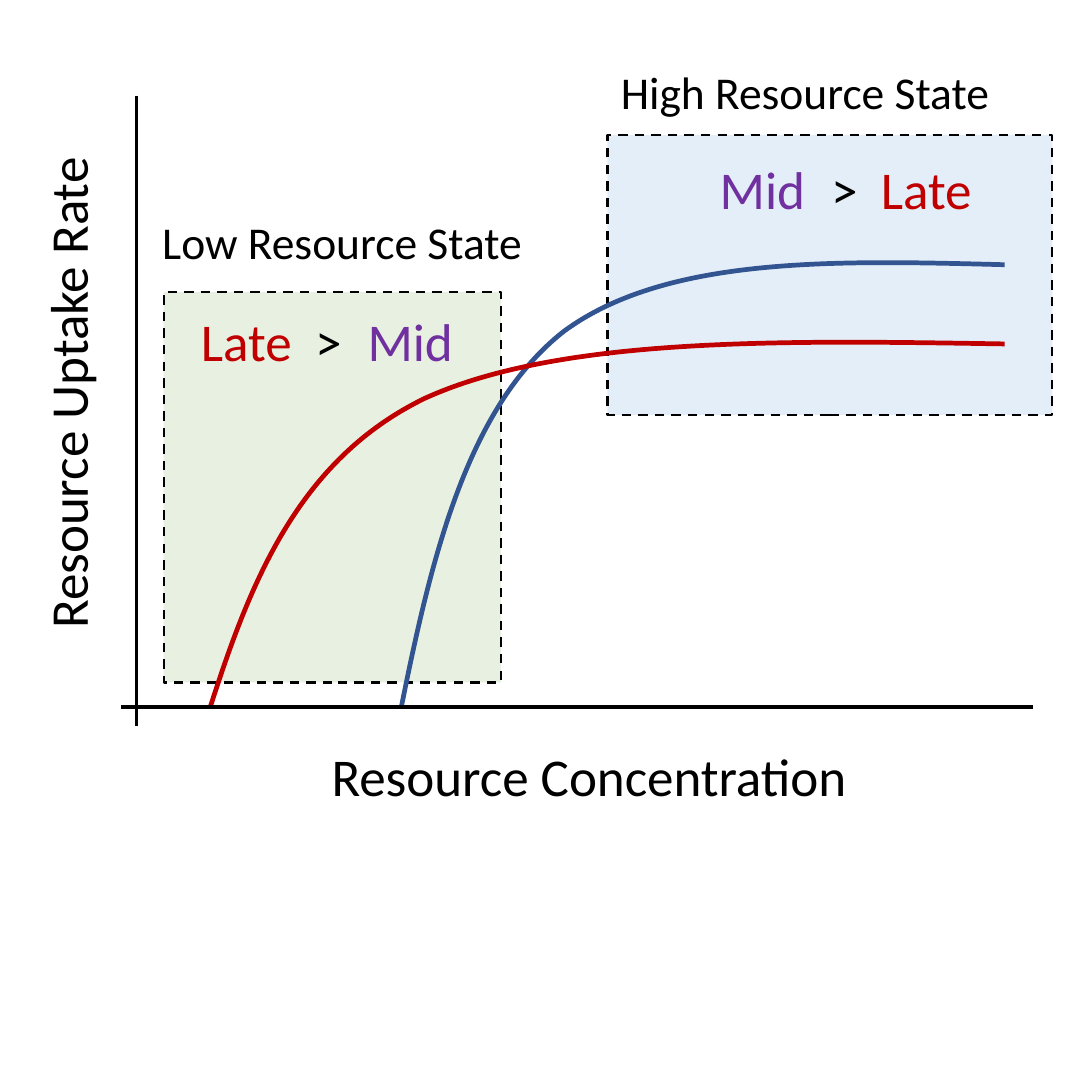
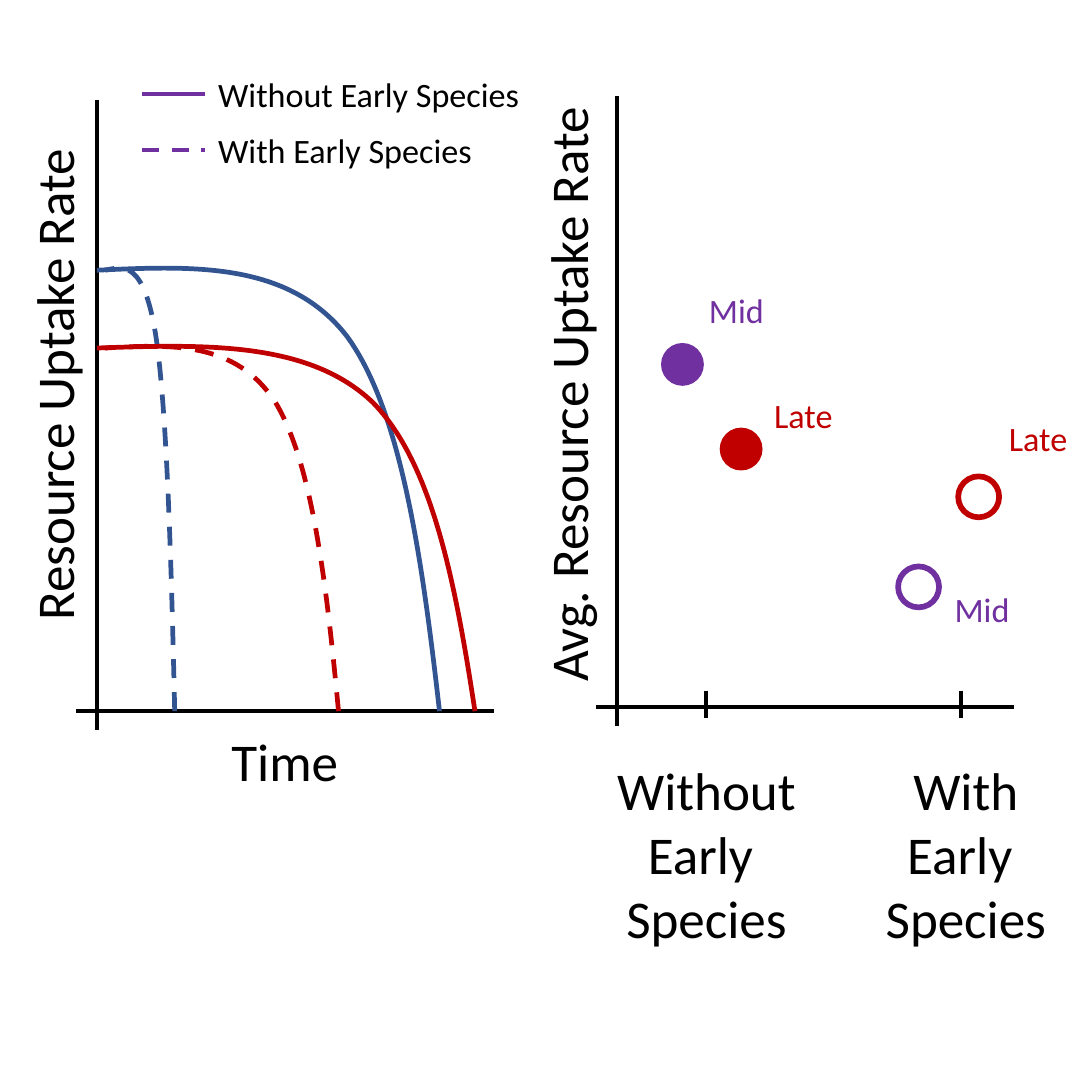
import lxml.etree
import pptx
import pptx.dml.color
import pptx.enum.dml
import pptx.enum.shapes
import pptx.enum.text
import pptx.oxml.ns
import pptx.util

RGBColor = pptx.dml.color.RGBColor
BLACK = RGBColor(0x00, 0x00, 0x00)
RED = RGBColor(0xC0, 0x00, 0x00)
PURPLE = RGBColor(0x70, 0x30, 0xA0)
BLUE = RGBColor(0x32, 0x54, 0x91)
GREEN_TINT = RGBColor(0x70, 0xAD, 0x47)
BLUE_TINT = RGBColor(0x5B, 0x9B, 0xD5)

FONT = "Calibri"
AXIS_SIZE, STATE_SIZE, LABEL_SIZE = 28, 24, 18
TEXT_HEIGHTS = {AXIS_SIZE: 5.7, STATE_SIZE: 5, LABEL_SIZE: 4}
LINE_SPACING = 4.7
SIDE = pptx.util.Inches(8)
GRID_CELLS = 80
MARKER = 3
STEM_ABOVE, STEM_BELOW = 44.8, 1.4
AXIS_TITLE_WIDTH = 50.3
CURVE_SHAPE = [(0, 0), (0.05, 0.34), (0.11, 0.68), (0.27, 0.85),
               (0.44, 1.02), (0.72, 1.01), (1, 1)]

LEFT = pptx.enum.text.PP_ALIGN.LEFT
CENTER = pptx.enum.text.PP_ALIGN.CENTER
RECTANGLE = pptx.enum.shapes.MSO_SHAPE.RECTANGLE
OVAL = pptx.enum.shapes.MSO_SHAPE.OVAL
qn = pptx.oxml.ns.qn


def cells(*counts):
    return [round(SIDE * count / GRID_CELLS) for count in counts]


def style_line(line, color, width, dashed=False):
    line.color.rgb = color
    line.width = pptx.util.Pt(width)
    if dashed:
        line.dash_style = pptx.enum.dml.MSO_LINE.DASH


def add_label(page, text, left, top, width, size=AXIS_SIZE, color=BLACK,
              align=CENTER, wrap=True, rotation=0):
    height = TEXT_HEIGHTS[size] + LINE_SPACING * text.count("\n")
    box = page.shapes.add_textbox(*cells(left, top, width, height))
    box.rotation = rotation
    frame = box.text_frame
    frame.text = text
    frame.word_wrap = wrap
    frame.auto_size = pptx.enum.text.MSO_AUTO_SIZE.SHAPE_TO_FIT_TEXT
    for para in frame.paragraphs:
        para.alignment = align
        for span in para.runs:
            span.font.name = FONT
            span.font.size = pptx.util.Pt(size)
            span.font.color.rgb = color


def add_axis_title(page, text, center_x, center_y):
    top = center_y - TEXT_HEIGHTS[AXIS_SIZE] / 2
    add_label(page, text, center_x - AXIS_TITLE_WIDTH / 2, top,
              AXIS_TITLE_WIDTH, rotation=270)


def add_line(page, start, end, color=BLACK, width=2, dashed=False):
    line = page.shapes.add_connector(
        pptx.enum.shapes.MSO_CONNECTOR.STRAIGHT, *cells(*start, *end))
    style_line(line.line, color, width, dashed)
    lxml.etree.SubElement(line.element.spPr, qn("a:effectLst"))


def add_axes(page, left, right, stem, base):
    add_line(page, (left, base), (right, base))
    add_line(page, (stem, base - STEM_ABOVE), (stem, base + STEM_BELOW))


def add_curve(page, foot, plateau, color, dashed=False):
    run, rise = plateau[0] - foot[0], plateau[1] - foot[1]
    points = [cells(foot[0] + run * x, foot[1] + rise * y) for x, y in CURVE_SHAPE]
    builder = page.shapes.build_freeform(*points[0])
    builder.add_line_segments(points[1:], close=False)
    curve = builder.convert_to_shape()
    outline = next(curve.element.iter(qn("a:path")))
    segments = outline.findall(qn("a:lnTo"))
    for first in range(0, len(segments), 3):
        bezier = lxml.etree.SubElement(outline, qn("a:cubicBezTo"))
        for segment in segments[first:first + 3]:
            bezier.append(segment[0])
            outline.remove(segment)
    curve.fill.background()
    curve.shadow.inherit = False
    style_line(curve.line, color, 2.5, dashed)


def add_state(page, left, top, width, height, tint):
    state = page.shapes.add_shape(RECTANGLE, *cells(left, top, width, height))
    state.shadow.inherit = False
    state.fill.solid()
    state.fill.fore_color.rgb = tint
    color = next(state.element.spPr.iter(qn("a:srgbClr")))
    lxml.etree.SubElement(color, qn("a:alpha"), val="16000")
    style_line(state.line, BLACK, 1.25, dashed=True)


def add_comparison(page, left, top, *words):
    width, step = 15.9, 6
    for index, (text, color) in enumerate(words):
        add_label(page, text, left + index * step, top, width, color=color)


def add_marker(page, left, top, color, filled):
    marker = page.shapes.add_shape(OVAL, *cells(left, top, MARKER, MARKER))
    marker.shadow.inherit = False
    if filled:
        marker.fill.solid()
        marker.fill.fore_color.rgb = color
    else:
        marker.fill.background()
    style_line(marker.line, color, 1 if filled else 3)


def draw_states(page):
    base = 51.8
    mid, late, greater = ("Mid", PURPLE), ("Late", RED), (">", BLACK)
    add_state(page, 12, 21.4, 24.7, 28.6, GREEN_TINT)
    add_state(page, 44.5, 9.9, 32.6, 20.5, BLUE_TINT)
    add_curve(page, (29.4, base), (73.6, 19.4), BLUE)
    add_curve(page, (15.4, base), (73.6, 25.2), RED)
    add_axes(page, 8.9, 75.7, 10, base)
    add_label(page, "Resource Concentration", 18, 54, AXIS_TITLE_WIDTH)
    add_comparison(page, 47.9, 11, mid, greater, late)
    add_comparison(page, 10.1, 22.1, late, greater, mid)
    add_label(page, "Low Resource State", 10.9, 15.2, 28.6, STATE_SIZE, align=LEFT)
    add_label(page, "High Resource State", 44.5, 4.2, 32.6, STATE_SIZE, align=LEFT)
    add_axis_title(page, "Resource Uptake Rate", 4.9, 28.8)


def draw_uptake_over_time(page):
    base, stem, dashed_start = 52.1, 7.1, 7.7
    add_label(page, "Time", 10.4, 52.9, 20.9)
    add_axis_title(page, "Resource Uptake Rate", 3.9, 28.2)
    add_axes(page, 5.6, 36.2, stem, base)
    for color, top, foot, dashed_foot in ((BLUE, 19.8, 32.2, 12.8),
                                          (RED, 25.5, 34.8, 24.8)):
        add_curve(page, (foot, base), (stem, top), color)
        add_curve(page, (dashed_foot, base), (dashed_start, top), color, dashed=True)
    legend = ("Without Early Species", "With Early Species")
    for index, text in enumerate(legend):
        middle = 6.9 + 4.1 * index
        add_line(page, (10.4, middle), (15, middle), PURPLE, 2.25, dashed=index == 1)
        add_label(page, text, 15, middle - 2, 24.9, LABEL_SIZE, align=LEFT)


def draw_average_uptake(page):
    base = 51.8
    add_axis_title(page, "Avg. Resource Uptake Rate", 41.55, 28.9)
    add_axes(page, 43.7, 74.3, 45.2, base)
    for tick, left, width, word in ((51.7, 41.3, 20.9, "Without"),
                                    (70.4, 62.2, 17.1, "With")):
        add_line(page, (tick, 50.6), (tick, 52.6))
        add_label(page, f"{word}\nEarly \nSpecies", left, 55, width)
    for text, color, filled, marker, label in (
            ("Mid", PURPLE, True, (48.5, 25.2), (50.8, 20.7)),
            ("Late", RED, True, (52.8, 31.4), (55.7, 28.4)),
            ("Mid", PURPLE, False, (65.8, 41.5), (68.8, 42.6)),
            ("Late", RED, False, (70.2, 34.9), (72.9, 30.1))):
        add_marker(page, *marker, color, filled)
        add_label(page, text, *label, 6.3, LABEL_SIZE, color, wrap=False)


def main():
    deck = pptx.Presentation()
    deck.slide_width = deck.slide_height = SIDE
    blank = deck.slide_layouts[6]
    draw_states(deck.slides.add_slide(blank))
    species_page = deck.slides.add_slide(blank)
    draw_uptake_over_time(species_page)
    draw_average_uptake(species_page)
    deck.save("out.pptx")


if __name__ == "__main__":
    main()
